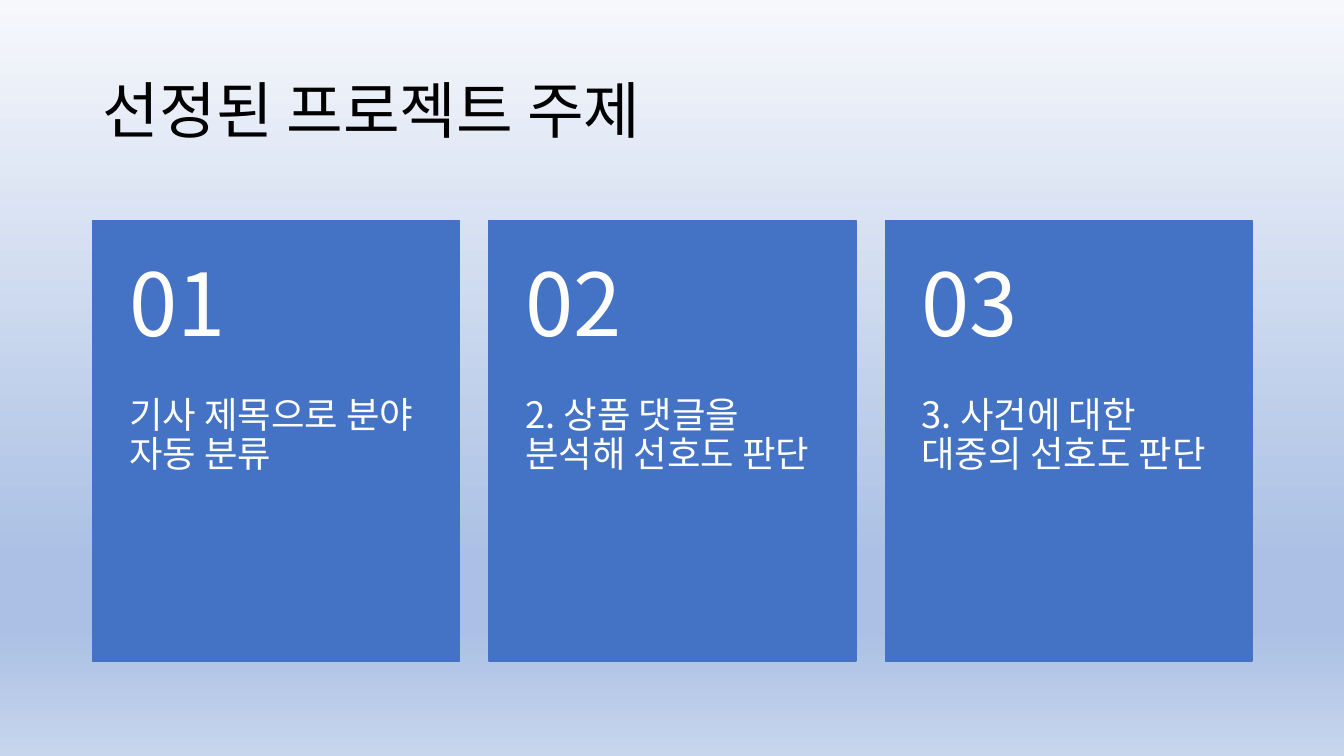
import lxml.etree
import pptx
import pptx.dml.color
import pptx.enum.shapes
import pptx.enum.text
import pptx.oxml.ns
import pptx.util

RGB = pptx.dml.color.RGBColor
ANCHOR = pptx.enum.text.MSO_ANCHOR
QN = pptx.oxml.ns.qn
BLUE = RGB(0x44, 0x72, 0xC4)
BLACK = RGB(0, 0, 0)
WHITE = RGB(0xFF, 0xFF, 0xFF)
STOPS = [
    (0, RGB(0xF6, 0xF8, 0xFC)),
    (74, RGB(0xAB, 0xC0, 0xE4)),
    (83, RGB(0xAB, 0xC0, 0xE4)),
    (100, RGB(0xC7, 0xD5, 0xED)),
]
FONT = "Noto Sans CJK KR"
WIDE, HIGH = 13.33, 7.5
LEFT, SPAN, GAP = 0.92, 11.5, 0.29
TOPICS = [
    "기사 제목으로 분야 자동 분류",
    "2. 상품 댓글을 분석해 선호도 판단",
    "3. 사건에 대한 대중의 선호도 판단",
]


def inches(box):
    """Turn a box of numbers into lengths."""
    return [pptx.util.Inches(side) for side in box]


def paint(slide):
    """Fill the background with the vertical gradient."""
    fill = slide.background.fill
    fill.gradient()
    fill.gradient_angle = 270
    stops = slide.element.find(".//" + QN("a:gsLst"))
    for stop in list(stops):
        stops.remove(stop)
    for place, color in STOPS:
        stop = lxml.etree.SubElement(stops, QN("a:gs"), pos=str(place * 1000))
        lxml.etree.SubElement(stop, QN("a:srgbClr"), val=str(color))


def write(slide, box, text, size, color, anchor, insets):
    """Place one wrapped text in a box."""
    frame = slide.shapes.add_textbox(*inches(box)).text_frame
    frame.word_wrap = True
    frame.vertical_anchor = anchor
    (frame.margin_left, frame.margin_top,
     frame.margin_right, frame.margin_bottom) = inches(insets)
    line = frame.paragraphs[0]
    line.line_spacing = 0.9
    run = line.add_run()
    run.text = text
    run.font.size = pptx.util.Pt(size)
    run.font.color.rgb = color
    run.font.name = FONT
    lxml.etree.SubElement(run.font._element, QN("a:ea"), typeface=FONT)


def head(slide, box):
    """Write the slide title."""
    write(slide, box, "선정된 프로젝트 주제", 44, BLACK, ANCHOR.MIDDLE,
          (0.1, 0.05, 0.1, 0.05))


def card(slide, box, label, topic):
    """Draw a card with its number above its topic."""
    left, top, width, height = box
    shape = slide.shapes.add_shape(
        pptx.enum.shapes.MSO_SHAPE.RECTANGLE, *inches(box))
    shape.shadow.inherit = False
    shape.fill.solid()
    shape.fill.fore_color.rgb = BLUE
    shape.line.color.rgb = BLUE
    shape.line.width = pptx.util.Pt(1)
    band = 0.4 * height
    write(slide, (left, top + band, width, height - band), topic, 26, WHITE,
          ANCHOR.TOP, (0.36, 0, 0.36, 0.36))
    write(slide, (left, top, width, band), label, 62, WHITE,
          ANCHOR.MIDDLE, (0.36, 0.18, 0.36, 0.18))


def cards(slide, box):
    """Spread the topic cards over equal columns."""
    left, top, width, height = box
    count = len(TOPICS)
    column = (width - GAP * (count - 1)) / count
    for index, topic in enumerate(TOPICS):
        place = (left + index * (column + GAP), top, column, height)
        card(slide, place, f"{index + 1:02}", topic)


def main():
    """Build and save the deck."""
    deck = pptx.Presentation()
    deck.slide_width, deck.slide_height = inches((WIDE, HIGH))
    slide = deck.slides.add_slide(deck.slide_layouts[6])
    paint(slide)
    head(slide, (LEFT, 0.4, SPAN, 1.45))
    cards(slide, (LEFT, 2.19, SPAN, 4.37))
    deck.save("out.pptx")


main()
